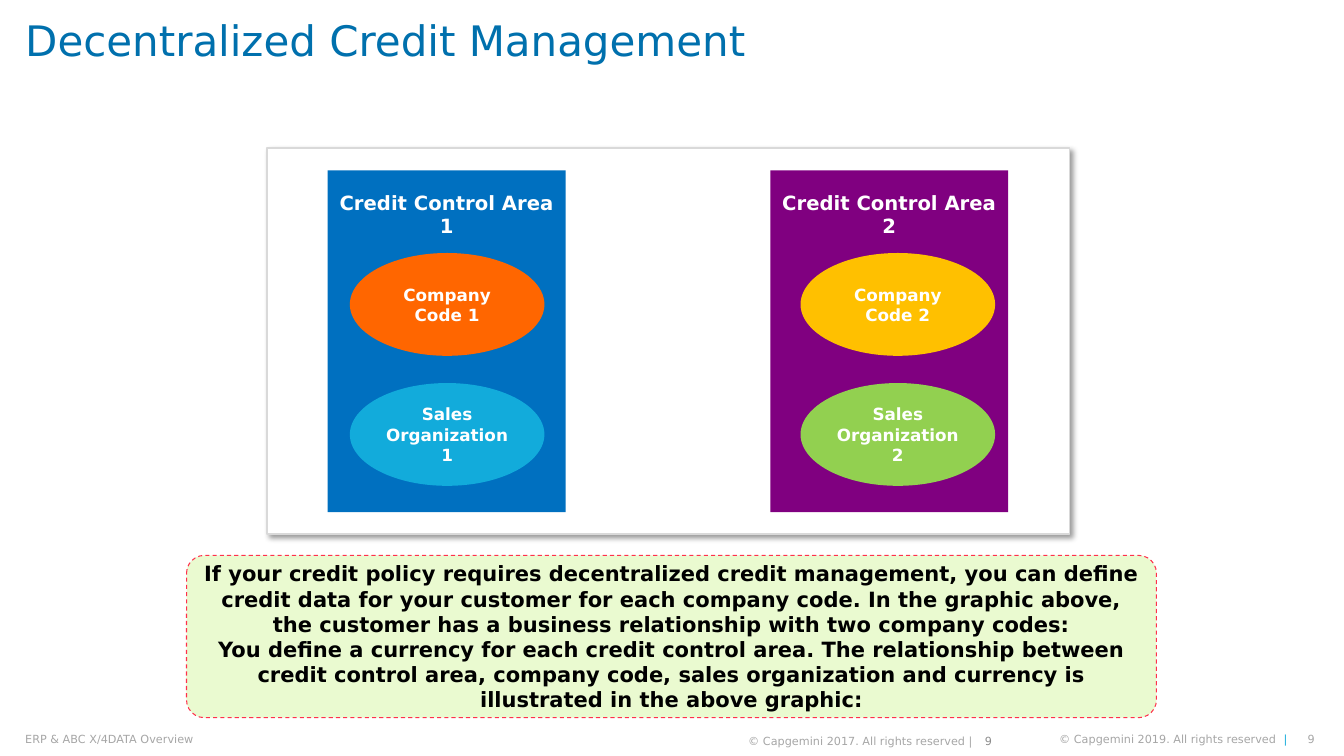
"""Build the Decentralized Credit Management slide."""
from lxml.etree import SubElement
from pptx import Presentation
from pptx.dml.color import RGBColor
from pptx.enum.dml import MSO_LINE
from pptx.enum.shapes import MSO_SHAPE
from pptx.enum.text import MSO_ANCHOR, PP_ALIGN
from pptx.oxml.ns import qn
from pptx.util import Inches, Pt

FONT = "DejaVu Sans"


def rgb(value):
    return RGBColor.from_string(value)


def write(sp, paras, size, color, bold=False, align=PP_ALIGN.CENTER,
          anchor=MSO_ANCHOR.MIDDLE, ins=(0, 0, 0, 0), wrap=True):
    tf = sp.text_frame
    tf.word_wrap = wrap
    tf.vertical_anchor = anchor
    tf.margin_left, tf.margin_top, tf.margin_right, tf.margin_bottom = map(Inches, ins)
    tf.text = "\n".join(paras)
    for p in tf.paragraphs:
        p.alignment = align
        p.font.name, p.font.size, p.font.bold = FONT, Pt(size), bold
        p.font.color.rgb = rgb(color)
    return tf


prs = Presentation()
prs.slide_width, prs.slide_height = Inches(13.33), Inches(7.5)
s = prs.slides.add_slide(prs.slide_layouts[5])

title = s.shapes.title
title.left, title.top, title.width, title.height = map(Inches, (0.25, 0, 12.17, 0.79))
tf = write(title, ["Decentralized Credit Management"], 30, "0070AD",
           align=PP_ALIGN.LEFT, anchor=MSO_ANCHOR.TOP, ins=(0, 0.2, 0, 0))
tf.paragraphs[0].line_spacing = 0.9

frame = s.shapes.add_shape(MSO_SHAPE.RECTANGLE, *map(Inches, (2.65, 1.47, 7.96, 3.83)))
frame.fill.solid()
frame.fill.fore_color.rgb = rgb("FFFFFF")
frame.line.color.rgb = rgb("D9D9D9")
frame.line.width = Pt(1)
frame.shadow.inherit = False
effects = frame.element.spPr.find(qn("a:effectLst"))
shadow = SubElement(effects, qn("a:outerShdw"), blurRad=str(Pt(4)), dist=str(Pt(3)),
                    dir="2700000", algn="tl", rotWithShape="0")
black = SubElement(shadow, qn("a:srgbClr"), val="000000")
SubElement(black, qn("a:alpha"), val="40000")

policy = s.shapes.add_shape(MSO_SHAPE.ROUNDED_RECTANGLE, *map(Inches, (1.85, 5.51, 9.62, 1.61)))
policy.adjustments[0] = 0.11
policy.shadow.inherit = False
policy.fill.solid()
policy.fill.fore_color.rgb = rgb("EAFAD0")
policy.line.color.rgb = rgb("FF304C")
policy.line.width = Pt(0.75)
policy.line.dash_style = MSO_LINE.DASH
write(policy, [
    "If your credit policy requires decentralized credit management, you can define credit "
    "data for your customer for each company code. In the graphic above, the customer has a "
    "business relationship with two company codes:",
    "You define a currency for each credit control area. The relationship between credit "
    "control area, company code, sales organization and currency is illustrated in the "
    "above graphic:",
], 15, "000000", bold=True, ins=(0.08,) * 4)

areas = [
    (1, 3.25, 3.47, "0070C0", "FF6600", "12ABDB"),
    (2, 7.64, 7.94, "800080", "FFC000", "92D050"),
]
for num, area_x, unit_x, area_fill, code_fill, sales_fill in areas:
    parts = [
        (MSO_SHAPE.RECTANGLE, "Credit Control Area", (area_x, 1.69, 2.36, 3.39),
         area_fill, 14, MSO_ANCHOR.TOP, (0.1, 0.2, 0.1, 0.05)),
        (MSO_SHAPE.OVAL, "Company Code", (unit_x, 2.51, 1.93, 1.02),
         code_fill, 12, MSO_ANCHOR.MIDDLE, (0.04, 0.05, 0.04, 0.05)),
        (MSO_SHAPE.OVAL, "Sales Organization", (unit_x, 3.8, 1.93, 1.02),
         sales_fill, 12, MSO_ANCHOR.MIDDLE, (0.04, 0.05, 0.04, 0.05)),
    ]
    for kind, label, box, fill, size, anchor, ins in parts:
        sp = s.shapes.add_shape(kind, *map(Inches, box))
        sp.shadow.inherit = False
        sp.fill.solid()
        sp.fill.fore_color.rgb = rgb(fill)
        sp.line.fill.background()
        write(sp, [f"{label} {num}"], size, "FFFFFF", bold=True, anchor=anchor, ins=ins)

footers = [
    ("ERP & ABC X/4DATA Overview", (0.25, 7.27, 5.16, 0.13), "A6A6A6", PP_ALIGN.LEFT),
    ("© Capgemini 2017. All rights reserved |", (7.24, 7.29, 2.41, 0.13), "A6A6A6", PP_ALIGN.RIGHT),
    ("9", (9.63, 7.29, 0.21, 0.13), "8C8C8C", PP_ALIGN.RIGHT),
    ("9", (12.85, 7.27, 0.19, 0.13), "A6A6A6", PP_ALIGN.RIGHT),
]
for text, box, color, align in footers:
    write(s.shapes.add_textbox(*map(Inches, box)), [text], 8, color, align=align)

notice = s.shapes.add_textbox(*map(Inches, (9.86, 7.27, 2.91, 0.13)))
tf = write(notice, ["© Capgemini 2019. All rights reserved  "], 8, "A6A6A6", align=PP_ALIGN.RIGHT)
r = tf.paragraphs[0].add_run()
r.text = "|"
r.font.color.rgb = rgb("12ABDB")

prs.save("out.pptx")
